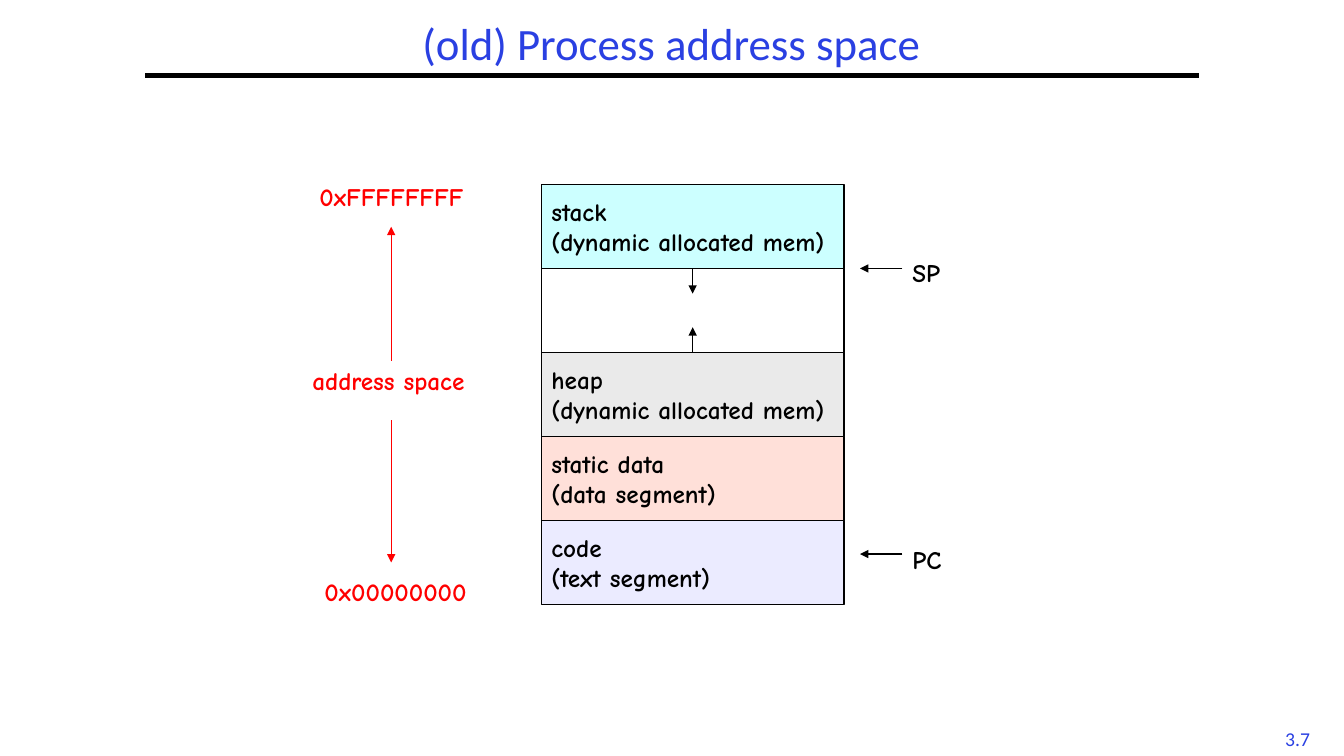
from lxml.etree import SubElement
from pptx import Presentation
from pptx.dml.color import RGBColor
from pptx.enum.shapes import MSO_CONNECTOR, MSO_SHAPE
from pptx.enum.text import MSO_ANCHOR, MSO_AUTO_SIZE, PP_ALIGN
from pptx.oxml.ns import qn
from pptx.util import Inches, Pt

BLACK = RGBColor(0x00, 0x00, 0x00)
WHITE = RGBColor(0xFF, 0xFF, 0xFF)
RED = RGBColor(0xFF, 0x00, 0x00)
BLUE = RGBColor(0x2A, 0x40, 0xE2)
CYAN = RGBColor(0xCC, 0xFF, 0xFF)
GREY = RGBColor(0xEA, 0xEA, 0xEA)
PINK = RGBColor(0xFF, 0xE0, 0xD9)
LAVENDER = RGBColor(0xEB, 0xEB, 0xFF)
TITLE_FONT, BODY_FONT = "Calibri", "Comic Neue"

# Content: memory segments from the highest address down
TITLE = "(old) Process address space"
PAGE_NUMBER = "3.7"
SEGMENTS = [
    (["stack", "(dynamic allocated mem)"], CYAN),
    ([], WHITE),
    (["heap", "(dynamic allocated mem)"], GREY),
    (["static data", "(data segment)"], PINK),
    (["code", "(text segment)"], LAVENDER),
]

# Grid: one column of equal rows, lengths in inches
COLUMN_LEFT, COLUMN_WIDTH = 5.37, 3
COLUMN_TOP, ROW = 1.83, 2.5 / 3
COLUMN_MIDDLE = COLUMN_LEFT + COLUMN_WIDTH / 2
GROWTH = 0.3 * ROW
RANGE_X = 3.88
REGISTER_X, POINTER_TIP = 8.95, 8.53


def row_top(row):
    return COLUMN_TOP + row * ROW


# Text, left, top, width, colour
LABELS = [
    ("0xFFFFFFFF", 3.07, 1.75, 1.73, RED),
    ("address space", 3, 3.58, 1.93, RED),
    ("0x00000000", 3.12, 5.67, 1.74, RED),
    ("SP", REGISTER_X, 2.5, 0.51, BLACK),
    ("PC", REGISTER_X, 5.35, 0.49, BLACK),
]
# Start, tip, colour
ARROWS = [
    ((RANGE_X, 3.58), (RANGE_X, 2.25), RED),
    ((RANGE_X, 4.17), (RANGE_X, 5.58), RED),
    ((COLUMN_MIDDLE, row_top(1)), (COLUMN_MIDDLE, row_top(1) + GROWTH), BLACK),
    ((COLUMN_MIDDLE, row_top(2)), (COLUMN_MIDDLE, row_top(2) - GROWTH), BLACK),
    ((REGISTER_X, row_top(1)), (POINTER_TIP, row_top(1)), BLACK),
    ((REGISTER_X, row_top(4.4)), (POINTER_TIP, row_top(4.4)), BLACK),
]


def write(frame, lines, font, size, color, bold=False, align=PP_ALIGN.LEFT):
    for index, line in enumerate(lines):
        paragraph = frame.add_paragraph() if index else frame.paragraphs[0]
        paragraph.alignment = align
        run = paragraph.add_run()
        run.text = line
        run.font.name, run.font.size, run.font.bold = font, Pt(size), bold
        run.font.color.rgb = color


def add_label(slide, text, left, top, width, height, *style):
    box = slide.shapes.add_textbox(*map(Inches, (left, top, width, height)))
    box.text_frame.word_wrap = False
    write(box.text_frame, [text], *style)


def add_line(slide, start, end, color, weight, arrow=False):
    line = slide.shapes.add_connector(
        MSO_CONNECTOR.STRAIGHT, *map(Inches, (*start, *end)))
    line.line.color.rgb, line.line.width = color, Pt(weight)
    properties = line._element.spPr
    if arrow:
        SubElement(properties.find(qn("a:ln")), qn("a:tailEnd"), type="triangle")
    SubElement(properties, qn("a:effectLst"))


def main():
    presentation = Presentation()
    presentation.slide_width, presentation.slide_height = Inches(13.33), Inches(7.5)
    slide = presentation.slides.add_slide(presentation.slide_layouts[5])

    # Title, rule and page number
    title = slide.shapes.title
    title.left, title.top, title.width, title.height = map(
        Inches, (1.44, 0.17, 10.44, 0.58))
    frame = title.text_frame
    frame.auto_size, frame.vertical_anchor = MSO_AUTO_SIZE.NONE, MSO_ANCHOR.MIDDLE
    write(frame, [TITLE], TITLE_FONT, 32, BLUE, False, PP_ALIGN.CENTER)
    frame.paragraphs[0].line_spacing = 0.9
    add_line(slide, (1.44, 0.75), (11.89, 0.75), BLACK, 3)
    add_label(slide, PAGE_NUMBER, 12.58, 7.16, 0.58, 0.33,
              TITLE_FONT, 14, BLUE, False, PP_ALIGN.CENTER)

    # Memory segments
    for row, (lines, fill) in enumerate(SEGMENTS):
        segment = slide.shapes.add_shape(MSO_SHAPE.RECTANGLE, *map(
            Inches, (COLUMN_LEFT, row_top(row), COLUMN_WIDTH, ROW)))
        segment.shadow.inherit = False
        segment.fill.solid()
        segment.fill.fore_color.rgb = fill
        segment.line.color.rgb, segment.line.width = BLACK, Pt(1)
        segment.text_frame.word_wrap = True
        segment.text_frame.vertical_anchor = MSO_ANCHOR.MIDDLE
        write(segment.text_frame, lines, BODY_FONT, 18, BLACK, True)

    # Address range, growth and register arrows with their labels
    for start, tip, color in ARROWS:
        add_line(slide, start, tip, color, 1, arrow=True)
    for text, left, top, width, color in LABELS:
        add_label(slide, text, left, top, width, 0.4, BODY_FONT, 18, color, True)

    presentation.save("out.pptx")


if __name__ == "__main__":
    main()
